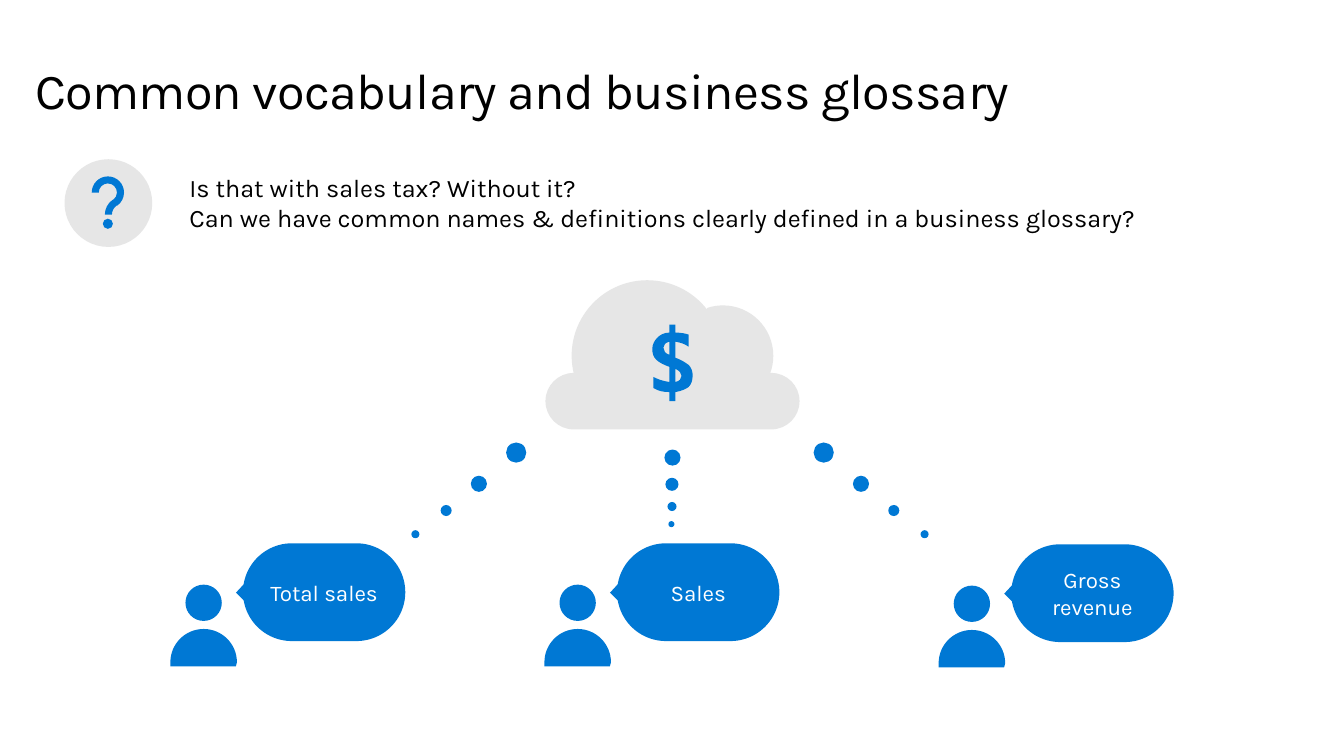
from math import cos, radians, sin, tan

from pptx import Presentation
from pptx.dml.color import RGBColor
from pptx.enum.shapes import MSO_SHAPE
from pptx.enum.text import MSO_ANCHOR, PP_ALIGN
from pptx.oxml.ns import qn
from pptx.util import Inches, Pt

BLUE = RGBColor(0x00, 0x78, 0xD4)
GREY = RGBColor(0xE6, 0xE6, 0xE6)
BLACK = RGBColor(0, 0, 0)
WHITE = RGBColor(255, 255, 255)
FONT = "Karla"

MIRROR_WIDTH = 13.29
SIDE_DOTS = [(4.08, 5.26, 0.08), (4.37, 5.01, 0.11), (4.67, 4.72, 0.16), (5.02, 4.39, 0.2)]
MIDDLE_DOTS = [(6.63, 5.17, 0.06), (6.62, 4.98, 0.09), (6.6, 4.74, 0.13), (6.59, 4.46, 0.16)]
SPEAKERS = [(1.69, 5.39, "Total sales"), (5.4, 5.39, "Sales"), (9.31, 5.4, "Gross revenue")]

DOLLAR_BODY = [
    [(6.87, 3.72)],
    [(6.87, 3.77), (6.86, 3.81), (6.83, 3.84)],
    [(6.8, 3.86), (6.76, 3.88), (6.7, 3.89)],
    [(6.7, 3.98)], [(6.64, 3.98)], [(6.64, 3.89)],
    [(6.58, 3.89), (6.53, 3.88), (6.48, 3.85)],
    [(6.48, 3.74)],
    [(6.5, 3.75), (6.52, 3.76), (6.55, 3.77)],
    [(6.59, 3.78), (6.62, 3.79), (6.64, 3.79)],
    [(6.64, 3.64)],
    [(6.58, 3.62), (6.53, 3.59), (6.51, 3.57)],
    [(6.48, 3.54), (6.47, 3.51), (6.47, 3.46)],
    [(6.47, 3.42), (6.49, 3.38), (6.52, 3.35)],
    [(6.55, 3.32), (6.59, 3.3), (6.64, 3.3)],
    [(6.64, 3.22)], [(6.7, 3.22)], [(6.7, 3.3)],
    [(6.76, 3.3), (6.8, 3.31), (6.83, 3.32)],
    [(6.83, 3.44)],
    [(6.79, 3.41), (6.75, 3.4), (6.7, 3.39)],
    [(6.7, 3.55)],
    [(6.76, 3.57), (6.8, 3.6), (6.83, 3.62)],
    [(6.86, 3.65), (6.87, 3.69), (6.87, 3.72)],
]
DOLLAR_UPPER_GAP = [
    [(6.64, 3.52)], [(6.64, 3.39)],
    [(6.6, 3.4), (6.58, 3.42), (6.58, 3.45)],
    [(6.58, 3.48), (6.6, 3.51), (6.64, 3.52)],
]
DOLLAR_LOWER_GAP = [
    [(6.76, 3.73)],
    [(6.76, 3.7), (6.74, 3.68), (6.7, 3.66)],
    [(6.7, 3.79)],
    [(6.74, 3.78), (6.76, 3.76), (6.76, 3.73)],
]


def arc(cx, cy, radius, start, end):
    low, high = min(start, end), max(start, end)
    quarters = [a for a in range(-360, 721, 90) if low < a < high]
    stops = sorted([start, *quarters, end], reverse=start > end)

    def at(degrees, pull=0):
        a = radians(degrees)
        return (cx + radius * (cos(a) - pull * sin(a)), cy + radius * (sin(a) + pull * cos(a)))

    segments = [[at(start)]]
    for a, b in zip(stops, stops[1:]):
        pull = 4 / 3 * tan(radians(b - a) / 4)
        segments.append([at(a, pull), at(b, -pull), at(b)])
    return segments


def paint(shape, color):
    shape.shadow.inherit = False
    shape.fill.solid()
    shape.fill.fore_color.rgb = color
    shape.line.fill.background()
    return shape


def bend_curves(shape, segments):
    steps = iter(list(shape._element.iter(qn("a:lnTo"))))
    for segment in segments:
        controls = [next(steps) for point in segment]
        if len(controls) == 3:
            curve = controls[0].makeelement(qn("a:cubicBezTo"))
            controls[0].addprevious(curve)
            for control in controls:
                curve.append(control[0])
                control.getparent().remove(control)


def add_outline(slide, contours, color):
    builder = None
    for contour in contours:
        points = [(Inches(x), Inches(y)) for segment in contour for x, y in segment]
        if builder is None:
            builder = slide.shapes.build_freeform(*points[0])
        else:
            builder.move_to(*points[0])
        builder.add_line_segments(points[1:], close=True)
    shape = builder.convert_to_shape()
    bend_curves(shape, [segment for contour in contours for segment in contour[1:]])
    return paint(shape, color)


def add_preset(slide, preset, left, top, width, height, color):
    shape = slide.shapes.add_shape(
        preset, Inches(left), Inches(top), Inches(width), Inches(height))
    return paint(shape, color)


def add_run(paragraph, text, size, color):
    run = paragraph.add_run()
    run.text = text
    run.font.name = FONT
    run.font.size = Pt(size)
    run.font.color.rgb = color


def add_text(slide, left, top, width, height, lines, size):
    box = slide.shapes.add_textbox(Inches(left), Inches(top), Inches(width), Inches(height))
    frame = box.text_frame
    frame.word_wrap = True
    for i, line in enumerate(lines):
        paragraph = frame.add_paragraph() if i else frame.paragraphs[0]
        add_run(paragraph, line, size, BLACK)
    return frame


def add_title(slide, text):
    frame = add_text(slide, 0.35, 0.5, 12.06, 0.78, [text], 36)
    frame.vertical_anchor = MSO_ANCHOR.MIDDLE
    frame.margin_left = frame.margin_right = frame.margin_top = frame.margin_bottom = 0
    frame.paragraphs[0].runs[0].font._element.set("spc", "-50")


def add_question_mark(slide):
    add_preset(slide, MSO_SHAPE.OVAL, 0.64, 1.58, 0.87, 0.87, GREY)
    hook = (arc(1.07, 1.91, 0.16, 180, 415) + arc(1.22, 2.13, 0.11, 235, 180)
            + arc(1.22, 2.13, 0.18, 180, 235) + arc(1.07, 1.91, 0.09, 415, 180))
    add_outline(slide, [arc(1.07, 2.22, 0.05, 0, 360), hook], BLUE)


def add_speaker(slide, left, top, term):
    middle = left + 0.33
    head = arc(middle, top + 0.59, 0.18, 0, 360)
    shoulders = arc(middle, top + 1.18, 0.33, 180, 360)
    base = [[(left + 0.65, top + 1.22)], [(left, top + 1.22)]]
    add_outline(slide, [shoulders + base, head], BLUE)

    bubble = add_preset(slide, MSO_SHAPE.ROUNDED_RECTANGLE, left + 0.72, top, 1.61, 0.97, BLUE)
    bubble.adjustments[0] = 0.5
    frame = bubble.text_frame
    frame.word_wrap = True
    frame.margin_left = frame.margin_right = Inches(0.05)
    frame.vertical_anchor = MSO_ANCHOR.MIDDLE
    frame.paragraphs[0].alignment = PP_ALIGN.CENTER
    add_run(frame.paragraphs[0], term, 16, WHITE)

    tail = [[(left + 0.77, top + 0.61)], [(left + 0.65, top + 0.49)], [(left + 0.77, top + 0.36)]]
    add_outline(slide, [tail], BLUE)


def add_cloud(slide):
    cloud = (arc(6.42, 3.53, 0.75, 166, 322) + arc(7.17, 3.53, 0.5, 252, 380)
             + arc(7.65, 3.98, 0.28, 270, 450) + arc(5.69, 3.98, 0.28, 90, 270))
    add_outline(slide, [cloud], GREY)
    add_outline(slide, [DOLLAR_BODY, DOLLAR_UPPER_GAP, DOLLAR_LOWER_GAP], BLUE)


def add_dots(slide, dots):
    for left, top, diameter in dots:
        add_preset(slide, MSO_SHAPE.OVAL, left, top, diameter, diameter, BLUE)


def main():
    deck = Presentation()
    deck.slide_width, deck.slide_height = Inches(13.33), Inches(7.5)
    slide = deck.slides.add_slide(deck.slide_layouts[6])

    add_title(slide, "Common vocabulary and business glossary")
    add_text(slide, 1.78, 1.66, 10.92, 0.71, [
        "Is that with sales tax? Without it?",
        "Can we have common names & definitions clearly defined in a business glossary?",
    ], 18)
    add_question_mark(slide)
    for left, top, term in SPEAKERS:
        add_speaker(slide, left, top, term)
    add_cloud(slide)
    add_dots(slide, SIDE_DOTS)
    add_dots(slide, [(MIRROR_WIDTH - left - d, top, d) for left, top, d in SIDE_DOTS])
    add_dots(slide, MIDDLE_DOTS)

    deck.save("out.pptx")


if __name__ == "__main__":
    main()
